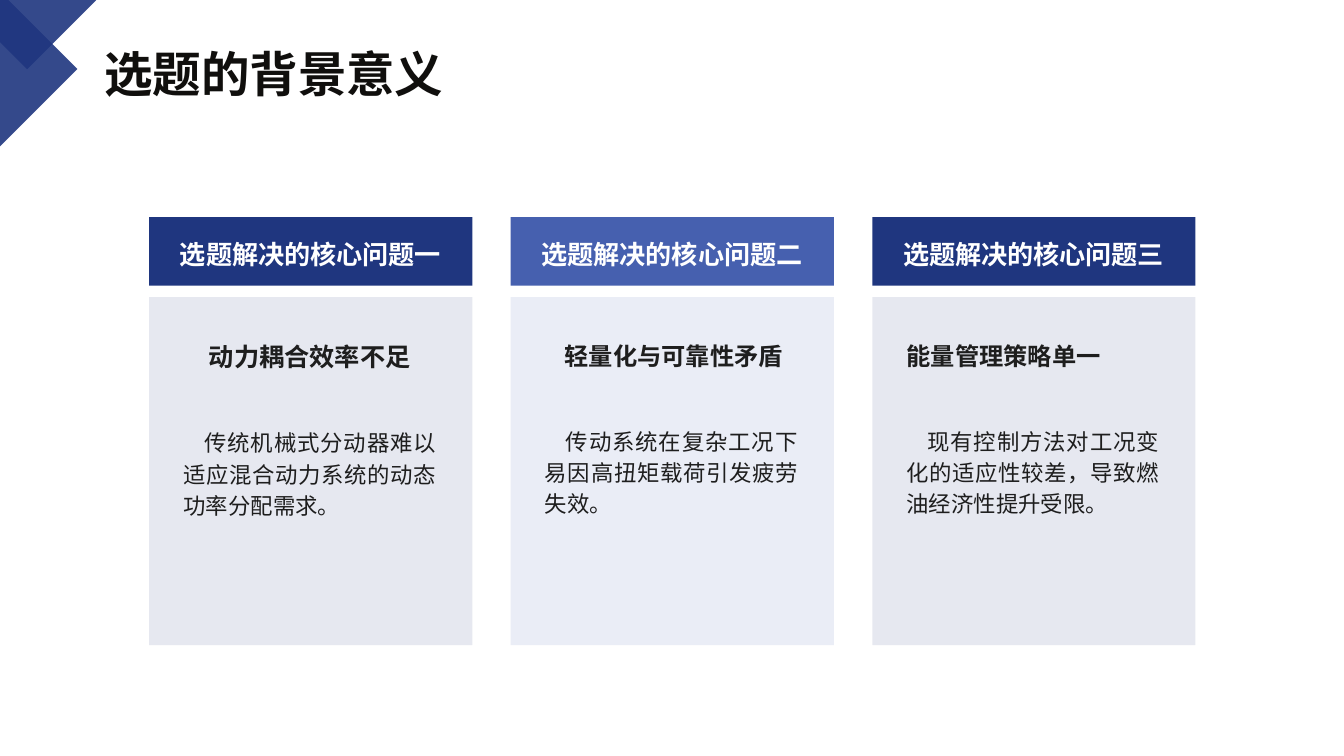
"""Build a slide with three cards on the core problems behind a topic choice."""
import dataclasses

import pptx
import pptx.dml.color
import pptx.enum.shapes
import pptx.enum.text
import pptx.oxml
import pptx.oxml.ns
import pptx.util
from pptx.util import Inches

ALIGN = pptx.enum.text.PP_ALIGN


@dataclasses.dataclass(frozen=True)
class Theme:
    font: str = "Noto Sans CJK SC"
    navy: str = "1F367F"
    blue: str = "4660AF"
    title: str = "100F0D"
    text: str = "1E1E1E"
    white: str = "FFFFFF"
    title_size: int = 52
    header_size: int = 28
    body_size: int = 24


theme = Theme()


def add_block(s, left, top, width, height, color, opacity=100, rotation=0):
    """Add a borderless rectangle with an optional opacity and rotation."""
    sp = s.shapes.add_shape(
        pptx.enum.shapes.MSO_SHAPE.RECTANGLE,
        Inches(left), Inches(top), Inches(width), Inches(height))
    sp.shadow.inherit = False
    sp.rotation = rotation
    sp.line.fill.background()
    sp.fill.solid()
    sp.fill.fore_color.rgb = pptx.dml.color.RGBColor.from_string(color)
    if opacity < 100:
        clr = sp._element.spPr.find(".//" + pptx.oxml.ns.qn("a:srgbClr"))
        alpha = pptx.oxml.parse_xml(
            f'<a:alpha {pptx.oxml.ns.nsdecls("a")} val="{opacity * 1000}"/>')
        clr.append(alpha)


def add_text(s, left, top, width, height, paragraphs):
    """Add a wrapped text box without margins from a list of paragraphs."""
    tf = s.shapes.add_textbox(
        Inches(left), Inches(top), Inches(width), Inches(height)).text_frame
    tf.word_wrap = True
    tf.margin_left = tf.margin_right = tf.margin_top = tf.margin_bottom = 0
    for i, (text, size, color, bold, align, spacing, before, indent) in enumerate(paragraphs):
        p = tf.add_paragraph() if i else tf.paragraphs[0]
        p.alignment = align
        p.line_spacing = pptx.util.Pt(size * spacing)
        if before:
            p.space_before = pptx.util.Pt(before)
        if indent:
            p._p.get_or_add_pPr().set("indent", str(Inches(indent)))
        r = p.add_run()
        r.text = text
        r.font.size = pptx.util.Pt(size)
        r.font.bold = bold
        r.font.color.rgb = pptx.dml.color.RGBColor.from_string(color)
        r.font.name = theme.font
        r._r.get_or_add_rPr().append(pptx.oxml.parse_xml(
            f'<a:ea {pptx.oxml.ns.nsdecls("a")} typeface="{theme.font}"/>'))


prs = pptx.Presentation()
prs.slide_width = Inches(20)
prs.slide_height = Inches(11.25)
s = prs.slides.add_slide(prs.slide_layouts[6])

add_text(s, 1.55, 0.65, 6.1, 0.86, [
    ("选题的背景意义", theme.title_size, theme.title, True, ALIGN.LEFT, 1.2, 0, 0)])
for left, top, side in ((-1.01, 0.13, 1.79), (-0.32, -0.72, 1.45)):
    add_block(s, left, top, side, side, theme.navy, 90, 135)

cards = [
    ("选题解决的核心问题一", theme.navy, "动力耦合效率不足", 27, ALIGN.CENTER, 0,
     "传统机械式分动器难以适应混合动力系统的动态功率分配需求。"),
    ("选题解决的核心问题二", theme.blue, "轻量化与可靠性矛盾", 26, ALIGN.CENTER, 0.08,
     "传动系统在复杂工况下易因高扭矩载荷引发疲劳失效。"),
    ("选题解决的核心问题三", theme.navy, "能量管理策略单一", 26, ALIGN.JUSTIFY, 0,
     "现有控制方法对工况变化的适应性较差，导致燃油经济性提升受限。"),
]
card_left, card_pitch, card_width = 2.22, 5.38, 4.81

for i, (header, color, heading, size, align, indent, body) in enumerate(cards):
    left = card_left + i * card_pitch
    add_block(s, left, 3.23, card_width, 1.02, color)
    add_text(s, left + 0.31, 3.41, 4.18, 0.56, [
        (header, theme.header_size, theme.white, True, ALIGN.CENTER, 1.56, 0, 0)])
    add_block(s, left, 4.42, card_width, 5.18, color, 11)
    add_text(s, left + 0.51, 4.9, 3.76, 3.24, [
        (heading, size, theme.text, True, align, 1.68, 0, indent),
        (body, theme.body_size, theme.text, False, ALIGN.JUSTIFY, 1.4, 57.2, 0.31)])

prs.save("out.pptx")
